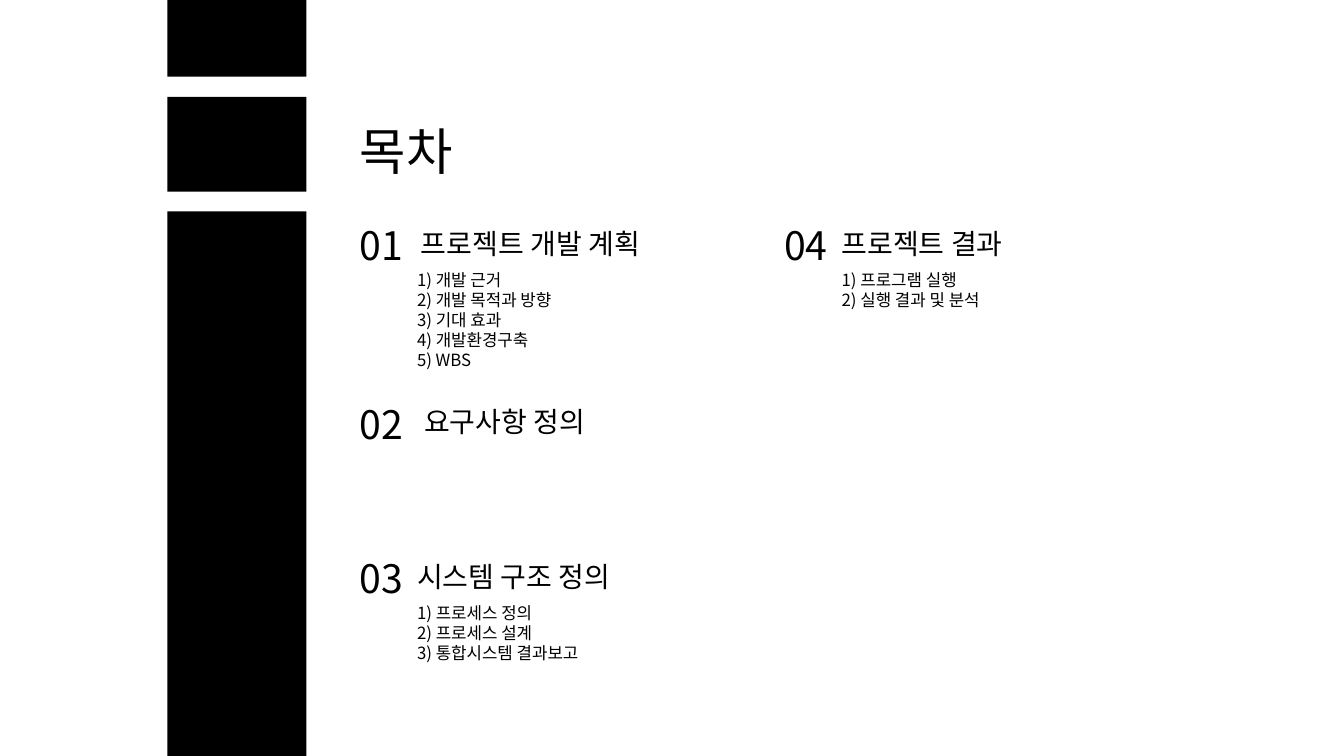
"""Build the contents slide with its black side column and four sections."""
import pptx
import pptx.dml.color
import pptx.enum.shapes
import pptx.enum.text
import pptx.oxml.ns
import pptx.util
from pptx.util import Cm

FONT = "Noto Sans CJK KR"
COLORS = {"ink": "000000", "background": "FFFFFF"}
TITLE = "목차"
SECTIONS = [
    {"number": "01", "left": 8.81, "top": 5.38, "heading_left": 10.36, "items_left": 10.26,
     "heading": "프로젝트 개발 계획",
     "items": ["1) 개발 근거", "2) 개발 목적과 방향", "3) 기대 효과", "4) 개발환경구축", "5) WBS"]},
    {"number": "02", "left": 8.81, "top": 9.88, "heading_left": 10.44, "items_left": 10.26,
     "heading": "요구사항 정의", "items": []},
    {"number": "03", "left": 8.81, "top": 13.77, "heading_left": 10.26, "items_left": 10.26,
     "heading": "시스템 구조 정의",
     "items": ["1) 프로세스 정의", "2) 프로세스 설계", "3) 통합시스템 결과보고"]},
    {"number": "04", "left": 19.51, "top": 5.38, "heading_left": 20.96, "items_left": 20.96,
     "heading": "프로젝트 결과",
     "items": ["1) 프로그램 실행", "2) 실행 결과 및 분석"]},
]
COLUMN_LEFT, COLUMN_WIDTH = 4.22, 3.5
COLUMN_BLOCKS = [(0, 1.93), (2.44, 2.39), (5.33, 13.72)]
HEADING_DROP, ITEMS_DROP = 0.14, 1.25
LINE_HEIGHT, BASELINE_DROP = 1.2, 0.08


def color(name):
    return pptx.dml.color.RGBColor.from_string(COLORS[name])


def write_text(shape, lines, *, size, left, top, width, height):
    shape.left, shape.top, shape.width, shape.height = Cm(left), Cm(top), Cm(width), Cm(height)
    frame = shape.text_frame
    frame.text = "\n".join(lines)
    frame.word_wrap = True
    frame.auto_size = pptx.enum.text.MSO_AUTO_SIZE.SHAPE_TO_FIT_TEXT
    frame.vertical_anchor = pptx.enum.text.MSO_ANCHOR.TOP
    frame.margin_top = pptx.util.Pt(3.6 + BASELINE_DROP * size)
    frame.margin_bottom = 0
    for paragraph in frame.paragraphs:
        paragraph.alignment = pptx.enum.text.PP_ALIGN.LEFT
        paragraph.line_spacing = pptx.util.Pt(LINE_HEIGHT * size)
        paragraph.space_before = pptx.util.Pt(0)
        for run in paragraph.runs:
            run.font.name = FONT
            run.font.size = pptx.util.Pt(size)
            run.font.color.rgb = color("ink")
            east_asian = run.font._element.makeelement(pptx.oxml.ns.qn("a:ea"), {"typeface": FONT})
            run.font._element.find(pptx.oxml.ns.qn("a:latin")).addnext(east_asian)


def add_text(slide, lines, **text_format):
    write_text(slide.shapes.add_textbox(0, 0, 0, 0), lines, **text_format)


def add_column(slide):
    for top, height in COLUMN_BLOCKS:
        block = slide.shapes.add_shape(pptx.enum.shapes.MSO_SHAPE.RECTANGLE,
                                       Cm(COLUMN_LEFT), Cm(top), Cm(COLUMN_WIDTH), Cm(height))
        block.shadow.inherit = False
        block.fill.solid()
        block.fill.fore_color.rgb = color("ink")
        block.line.fill.background()


def add_section(slide, section):
    top = section["top"]
    add_text(slide, [section["number"]], size=28,
             left=section["left"], top=top, width=1.63, height=1.45)
    add_text(slide, [section["heading"]], size=20, left=section["heading_left"],
             top=top + HEADING_DROP, width=8.18, height=1.12)
    items = section["items"]
    if items:
        add_text(slide, items, size=12, left=section["items_left"], top=top + ITEMS_DROP,
                 width=7.52, height=0.25 + 0.51 * len(items))


def main():
    presentation = pptx.Presentation()
    presentation.slide_width, presentation.slide_height = Cm(33.87), Cm(19.05)
    slide = presentation.slides.add_slide(presentation.slide_layouts[5])
    slide.background.fill.solid()
    slide.background.fill.fore_color.rgb = color("background")
    add_column(slide)
    write_text(slide.shapes.title, [TITLE], size=36, left=8.81, top=2.79, width=3.5, height=1.8)
    for section in SECTIONS:
        add_section(slide, section)
    presentation.save("out.pptx")


if __name__ == "__main__":
    main()
